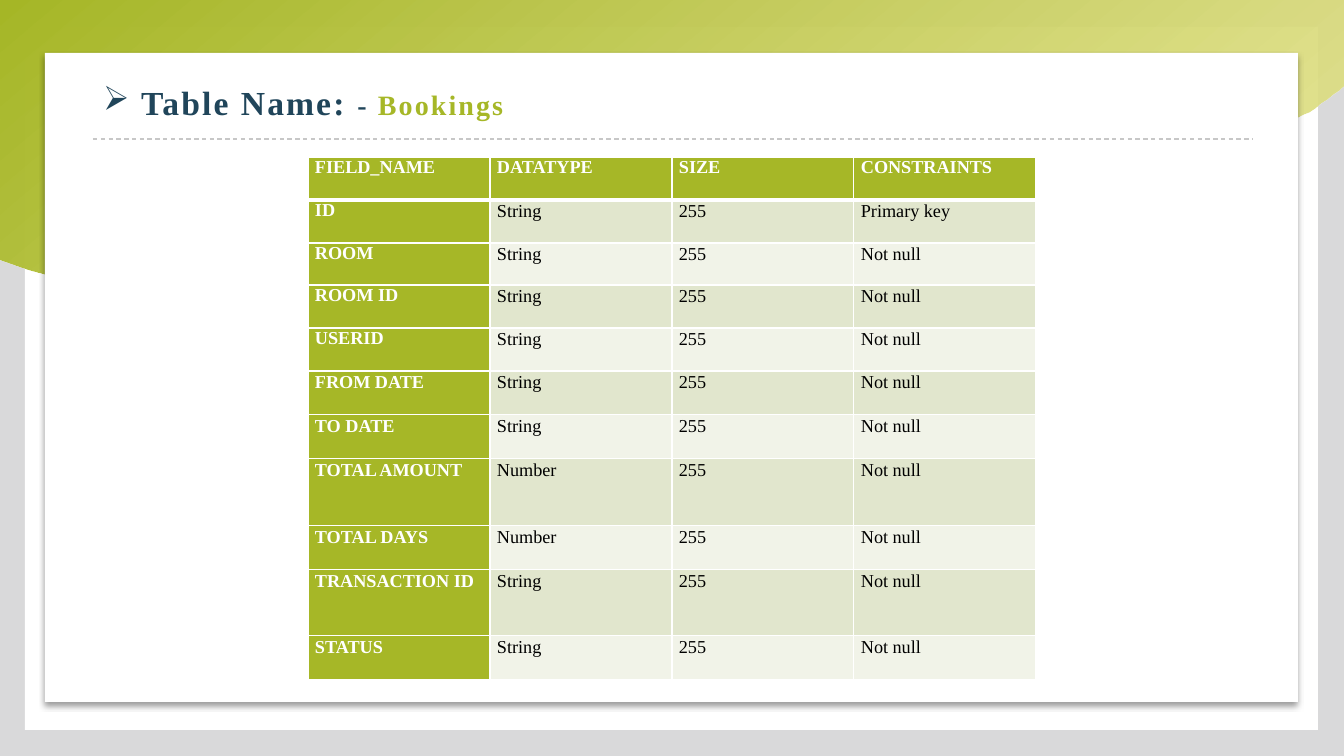
"""Build the Bookings table-definition slide."""
from dataclasses import dataclass

from lxml.etree import SubElement
from pptx import Presentation
from pptx.dml.color import RGBColor
from pptx.enum.dml import MSO_LINE
from pptx.enum.shapes import MSO_CONNECTOR, MSO_SHAPE
from pptx.enum.text import MSO_ANCHOR, PP_ALIGN
from pptx.oxml import parse_xml
from pptx.oxml.ns import nsdecls, qn
from pptx.util import Pt

HEADERS = ("FIELD_NAME", "DATATYPE", "SIZE", "CONSTRAINTS")
FIELDS = [
    ("ID", "String", "255", "Primary key"),
    ("ROOM", "String", "255", "Not null"),
    ("ROOM ID", "String", "255", "Not null"),
    ("USERID", "String", "255", "Not null"),
    ("FROM DATE", "String", "255", "Not null"),
    ("TO DATE", "String", "255", "Not null"),
    ("TOTAL AMOUNT", "Number", "255", "Not null"),
    ("TOTAL DAYS", "Number", "255", "Not null"),
    ("TRANSACTION ID", "String", "255", "Not null"),
    ("STATUS", "String", "255", "Not null"),
]
ROW_HEIGHTS = (43, 43, 42, 43, 43, 44, 44, 67, 44, 66, 44)
COLUMN_WIDTH = 182
TABLE_LEFT, TABLE_TOP = 308, 157
FIRST_SPACED_KEY = 5

WAVE_START = (0, 260)
WAVE_CURVES = [
    ((123, 306), (268, 313), (396, 276)),
    ((534, 237), (653, 152), (798, 137)),
    ((943, 122), (1097, 181), (1237, 143)),
    ((1277, 132), (1314, 112), (1344, 86)),
]
CURVE_STEPS = 16
PX = 9071


@dataclass(frozen=True)
class Theme:
    font: str = "Times New Roman"
    green: str = "A6B727"
    lime: str = "E7E591"
    navy: str = "20455A"
    white: str = "FFFFFF"
    black: str = "000000"
    backdrop: str = "D9D9DA"
    rule: str = "C7C7C7"
    bands: tuple = ("F1F3E8", "E1E6CD")
    title_size: int = 24
    subtitle_size: int = 20
    cell_size: int = 13


THEME = Theme()
TITLE_RUNS = [
    ("Table Name: ", THEME.title_size, THEME.navy),
    ("- ", THEME.subtitle_size, THEME.navy),
    ("Bookings", THEME.subtitle_size, THEME.green),
]


def px(*lengths):
    return [length * PX for length in lengths]


def paint(fill, color):
    fill.solid()
    fill.fore_color.rgb = RGBColor.from_string(color)


def style(span, size, color, bold):
    span.font.name = THEME.font
    span.font.size = Pt(size)
    span.font.bold = bold
    span.font.color.rgb = RGBColor.from_string(color)


def add_panel(page, *frame):
    panel = page.shapes.add_shape(MSO_SHAPE.RECTANGLE, *px(*frame))
    panel.shadow.inherit = False
    paint(panel.fill, THEME.white)
    panel.line.fill.background()
    return panel


def wave_points():
    points, start = [WAVE_START], WAVE_START
    for first, second, end in WAVE_CURVES:
        for step in range(1, CURVE_STEPS + 1):
            t = step / CURVE_STEPS
            weights = ((1 - t) ** 3, 3 * t * (1 - t) ** 2, 3 * t * t * (1 - t), t ** 3)
            corners = (start, first, second, end)
            points.append(tuple(
                sum(weight * corner[axis] for weight, corner in zip(weights, corners))
                for axis in (0, 1)))
        start = end
    return points + [(start[0], 0)]


def add_wave(page):
    builder = page.shapes.build_freeform(0, 0, scale=PX)
    builder.add_line_segments(wave_points(), close=True)
    wave = builder.convert_to_shape()
    wave.shadow.inherit = False
    wave.line.fill.background()
    wave.fill.gradient()
    wave.fill.gradient_angle = 310
    for stop, color, place in zip(wave.fill.gradient_stops, (THEME.green, THEME.lime), (0, 1)):
        stop.color.rgb = RGBColor.from_string(color)
        stop.position = place
    light = wave.element.spPr.findall(".//" + qn("a:srgbClr"))[-1]
    SubElement(light, qn("a:alpha"), val="90000")


def add_card(page):
    card = add_panel(page, 45, 53, 1253, 649)
    effects = card.element.spPr.find(qn("a:effectLst"))
    shadow = SubElement(effects, qn("a:outerShdw"), blurRad=str(Pt(4)),
                        dist=str(Pt(3)), dir="5400000", rotWithShape="0")
    color = SubElement(shadow, qn("a:srgbClr"), val=THEME.black)
    SubElement(color, qn("a:alpha"), val="40000")


def add_rule(page):
    rule = page.shapes.add_connector(MSO_CONNECTOR.STRAIGHT, *px(93, 139, 1253, 139))
    rule.line.color.rgb = RGBColor.from_string(THEME.rule)
    rule.line.width = Pt(0.79)
    rule.line.dash_style = MSO_LINE.DASH
    SubElement(rule.element.spPr, qn("a:effectLst"))


def add_title(page):
    title = page.shapes.title
    title.element.getparent().append(title.element)
    title.left, title.top, title.width, title.height = px(93, 73, 1159, 64)
    title.text_frame.vertical_anchor = MSO_ANCHOR.MIDDLE
    para = title.text_frame.paragraphs[0]
    props = para._p.get_or_add_pPr()
    props.set("marL", str(38 * PX))
    props.set("indent", str(-38 * PX))
    SubElement(props, qn("a:buChar"), char="➢")
    para.alignment = PP_ALIGN.LEFT
    para.line_spacing = 0.9
    for text, size, color in TITLE_RUNS:
        span = para.add_run()
        span.text = text
        style(span, size, color, True)
        span.font._element.set("spc", "150")


def add_borders(cell, bottom_width):
    props = cell._tc.get_or_add_tcPr()
    widths = {"lnL": 1, "lnR": 1, "lnT": 1, "lnB": bottom_width}
    for place, (side, width) in enumerate(widths.items()):
        props.insert(place, parse_xml(
            f'<a:{side} {nsdecls("a")} w="{Pt(width)}"><a:solidFill>'
            f'<a:srgbClr val="{THEME.white}"/></a:solidFill></a:{side}>'))


def add_fields_table(page):
    rows = [HEADERS] + FIELDS
    frame = page.shapes.add_table(
        len(rows), len(HEADERS),
        *px(TABLE_LEFT, TABLE_TOP, COLUMN_WIDTH * len(HEADERS), sum(ROW_HEIGHTS)))
    table = frame.table
    for column in table.columns:
        column.width = COLUMN_WIDTH * PX
    for r, (height, values) in enumerate(zip(ROW_HEIGHTS, rows)):
        table.rows[r].height = height * PX
        for c, value in enumerate(values):
            cell = table.cell(r, c)
            strong = r == 0 or c == 0
            cell.margin_left = cell.margin_right = 7 * PX
            cell.margin_top = cell.margin_bottom = 0
            paint(cell.fill, THEME.green if strong else THEME.bands[r % 2])
            add_borders(cell, 3 if r == 0 else 1)
            para = cell.text_frame.paragraphs[0]
            para.text = value
            para.line_spacing = 1.0 if strong and r < FIRST_SPACED_KEY else 1.07
            style(para.runs[0], THEME.cell_size, THEME.white if strong else THEME.black, strong)


def main():
    deck = Presentation()
    deck.slide_width, deck.slide_height = px(1344, 756)
    page = deck.slides.add_slide(deck.slide_layouts[5])
    paint(page.background.fill, THEME.backdrop)
    add_panel(page, 25, 27, 1293, 703)
    add_wave(page)
    add_card(page)
    add_rule(page)
    add_title(page)
    add_fields_table(page)
    deck.save("out.pptx")


if __name__ == "__main__":
    main()
